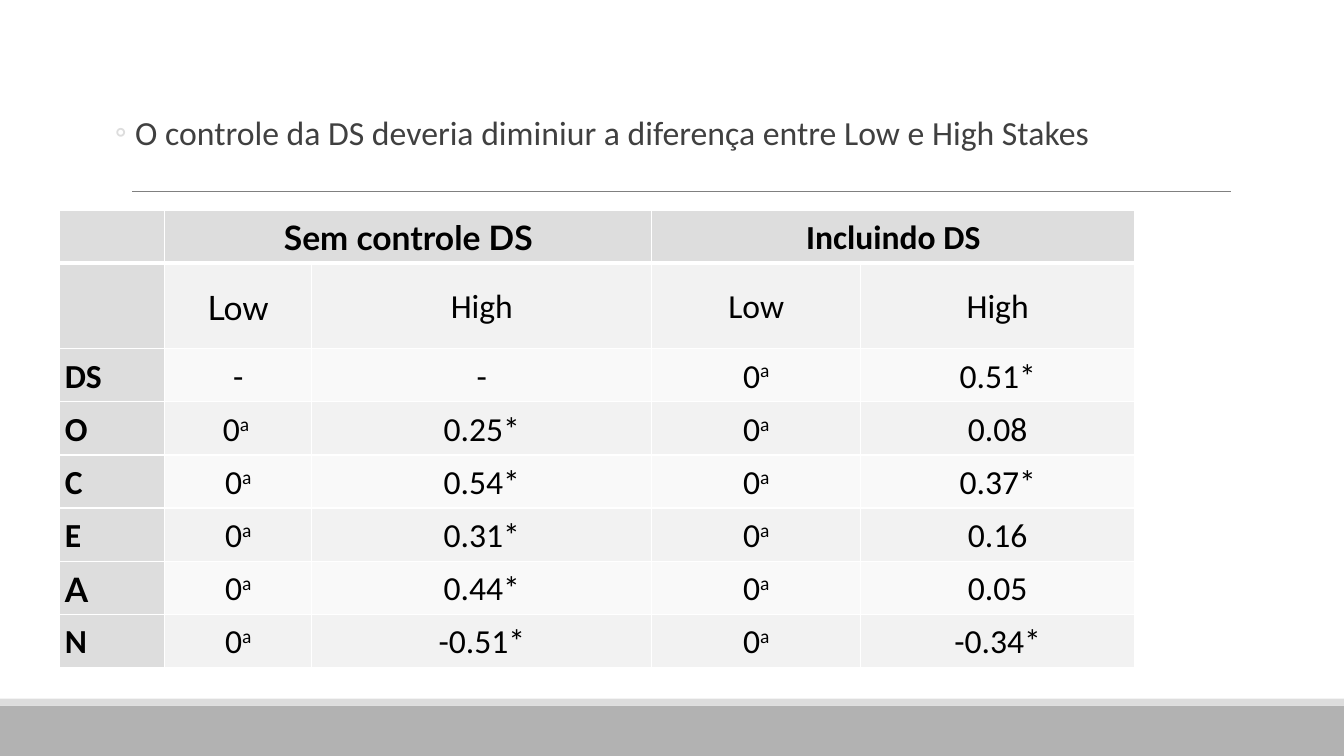
from lxml.etree import SubElement
from pptx import Presentation
from pptx.dml.color import RGBColor
from pptx.enum.shapes import MSO_CONNECTOR, MSO_SHAPE
from pptx.enum.text import MSO_ANCHOR, PP_ALIGN
from pptx.oxml.ns import qn
from pptx.util import Pt

WHITE, BLACK, TEXT_GRAY, LINE_GRAY = "FFFFFF", "000000", "404040", "808080"
HEADER_GRAY, FOOTER_GRAY = "DDDDDD", "B2B2B2"
BAND_FILLS = ["F9F9F9", "F2F2F2"]
SLIDE_WIDTH, SLIDE_HEIGHT = 960, 540
COLUMN_WIDTHS = [75, 105, 243, 149, 196]
ROW_HEIGHTS = [38, 61] + [38] * 6
LATO_CELLS = {(0, 1), (1, 1), (6, 0)}
ROWS = [
    ["", "Sem controle DS", "", "Incluindo DS", ""],
    ["", "Low", "High", "Low", "High"],
    ["DS", "-", "-", "0^a", "0.51*"],
    ["O", "0^a ", "0.25*", "0^a", "0.08"],
    ["C", "0^a", "0.54*", "0^a", "0.37*"],
    ["E", "0^a", "0.31*", "0^a", "0.16"],
    ["A", "0^a", "0.44*", "0^a", "0.05"],
    ["N", "0^a", "-0.51*", "0^a", "-0.34*"],
]


def color(value):
    """Return the colour for a hex string."""
    return RGBColor.from_string(value)


def write_text(paragraph, text, size=24, font="Calibri", fill=BLACK, bold=False,
               align=PP_ALIGN.LEFT, line_spacing=1.07, space_after=8):
    """Fill a paragraph; text after a caret becomes superscript."""
    paragraph.alignment = align
    paragraph.line_spacing = line_spacing
    paragraph.space_before = Pt(0)
    paragraph.space_after = Pt(space_after)
    for index, part in enumerate(text.split("^")):
        run = paragraph.add_run()
        run.text = part
        run.font.size = Pt(size)
        run.font.name = font
        run.font.bold = bold
        run.font.color.rgb = color(fill)
        if index:
            run._r.get_or_add_rPr().set("baseline", "30000")


def add_bar(slide, left, top, width, height, fill):
    """Add a plain filled rectangle."""
    shape = slide.shapes.add_shape(MSO_SHAPE.RECTANGLE, Pt(left), Pt(top), Pt(width), Pt(height))
    shape.shadow.inherit = False
    shape.fill.solid()
    shape.fill.fore_color.rgb = color(fill)
    shape.line.fill.background()


def add_footer(slide, left, top, width, height, strip=5):
    """Add the footer band with a pale strip on top."""
    add_bar(slide, left, top + strip, width, height - strip, FOOTER_GRAY)
    add_bar(slide, left, top, width, strip, HEADER_GRAY)


def add_rule(slide, left, top, width):
    """Add the thin horizontal rule."""
    rule = slide.shapes.add_connector(MSO_CONNECTOR.STRAIGHT, Pt(left), Pt(top), Pt(left + width), Pt(top))
    rule.line.color.rgb = color(LINE_GRAY)
    rule.line.width = Pt(0.5)
    SubElement(rule._element.spPr, qn("a:effectLst"))


def add_statement(slide, left, top, width, height):
    """Add the bulleted statement."""
    frame = slide.shapes.add_textbox(Pt(left), Pt(top), Pt(width), Pt(height)).text_frame
    frame.word_wrap = True
    frame.margin_left = frame.margin_right = 0
    paragraph = frame.paragraphs[0]
    properties = paragraph._p.get_or_add_pPr()
    properties.set("marL", str(Pt(30.24)))
    properties.set("indent", str(Pt(-14.4)))
    bullet_color = SubElement(properties, qn("a:buClr"))
    SubElement(bullet_color, qn("a:srgbClr"), val=HEADER_GRAY)
    SubElement(properties, qn("a:buFont"), typeface="Calibri")
    SubElement(properties, qn("a:buChar"), char="◦")
    write_text(paragraph, "O controle da DS deveria diminiur a diferença entre Low e High Stakes",
               size=24.1, fill=TEXT_GRAY, line_spacing=0.9, space_after=4)


def set_borders(cell, top, bottom):
    """Give a cell white borders, with its own top and bottom widths."""
    properties = cell._tc.get_or_add_tcPr()
    for side, width in (("L", 1), ("R", 1), ("T", top), ("B", bottom)):
        line = SubElement(properties, qn(f"a:ln{side}"), w=str(Pt(width)))
        SubElement(SubElement(line, qn("a:solidFill")), qn("a:srgbClr"), val=WHITE)


def add_results_table(slide, left, top, width, height):
    """Add the table of results with and without control."""
    table = slide.shapes.add_table(len(ROWS), len(COLUMN_WIDTHS), Pt(left), Pt(top),
                                   Pt(width), Pt(height)).table
    for column, column_width in zip(table.columns, COLUMN_WIDTHS):
        column.width = Pt(column_width)
    for row, row_height in zip(table.rows, ROW_HEIGHTS):
        row.height = Pt(row_height)
    for first in (1, 3):
        table.cell(0, first).merge(table.cell(0, first + 1))
    for row_index, texts in enumerate(ROWS):
        for column_index, text in enumerate(texts):
            cell = table.cell(row_index, column_index)
            heading = row_index == 0 or column_index == 0
            set_borders(cell, 3 if row_index == 1 else 1, 3 if row_index == 0 else 1)
            cell.fill.solid()
            cell.fill.fore_color.rgb = color(HEADER_GRAY if heading else BAND_FILLS[row_index % 2])
            cell.vertical_anchor = MSO_ANCHOR.MIDDLE
            cell.margin_left = cell.margin_right = Pt(3.6)
            cell.margin_top = cell.margin_bottom = 0
            if text:
                write_text(cell.text_frame.paragraphs[0], text, bold=heading,
                           font="Lato" if (row_index, column_index) in LATO_CELLS else "Calibri",
                           align=PP_ALIGN.CENTER if column_index else PP_ALIGN.LEFT)


def main():
    """Build and save the slide."""
    presentation = Presentation()
    presentation.slide_width, presentation.slide_height = Pt(SLIDE_WIDTH), Pt(SLIDE_HEIGHT)
    slide = presentation.slides.add_slide(presentation.slide_layouts[6])
    add_footer(slide, 0, 499, SLIDE_WIDTH, 41)
    add_rule(slide, 94.5, 136.6, 784.5)
    add_statement(slide, 66.3, 79.5, 811, 55)
    add_results_table(slide, 42.7, 150, sum(COLUMN_WIDTHS), sum(ROW_HEIGHTS))
    presentation.save("out.pptx")


if __name__ == "__main__":
    main()
